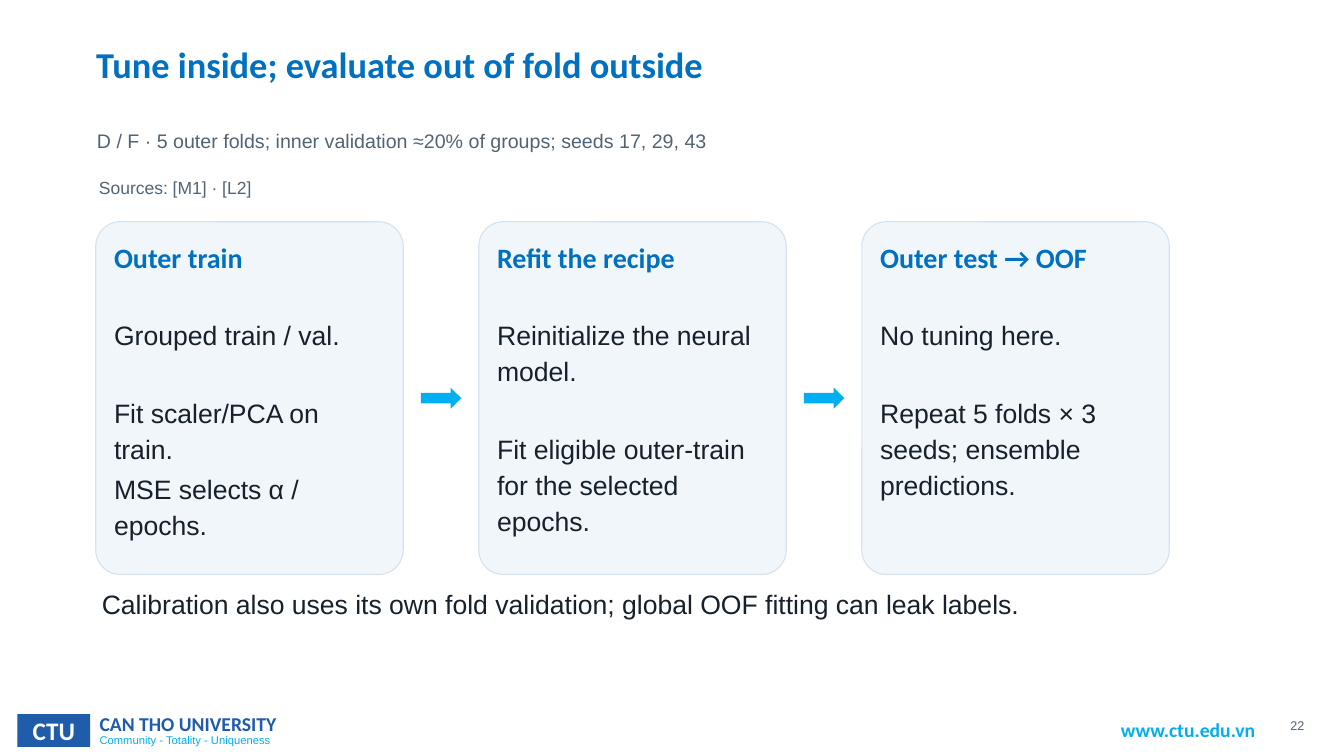
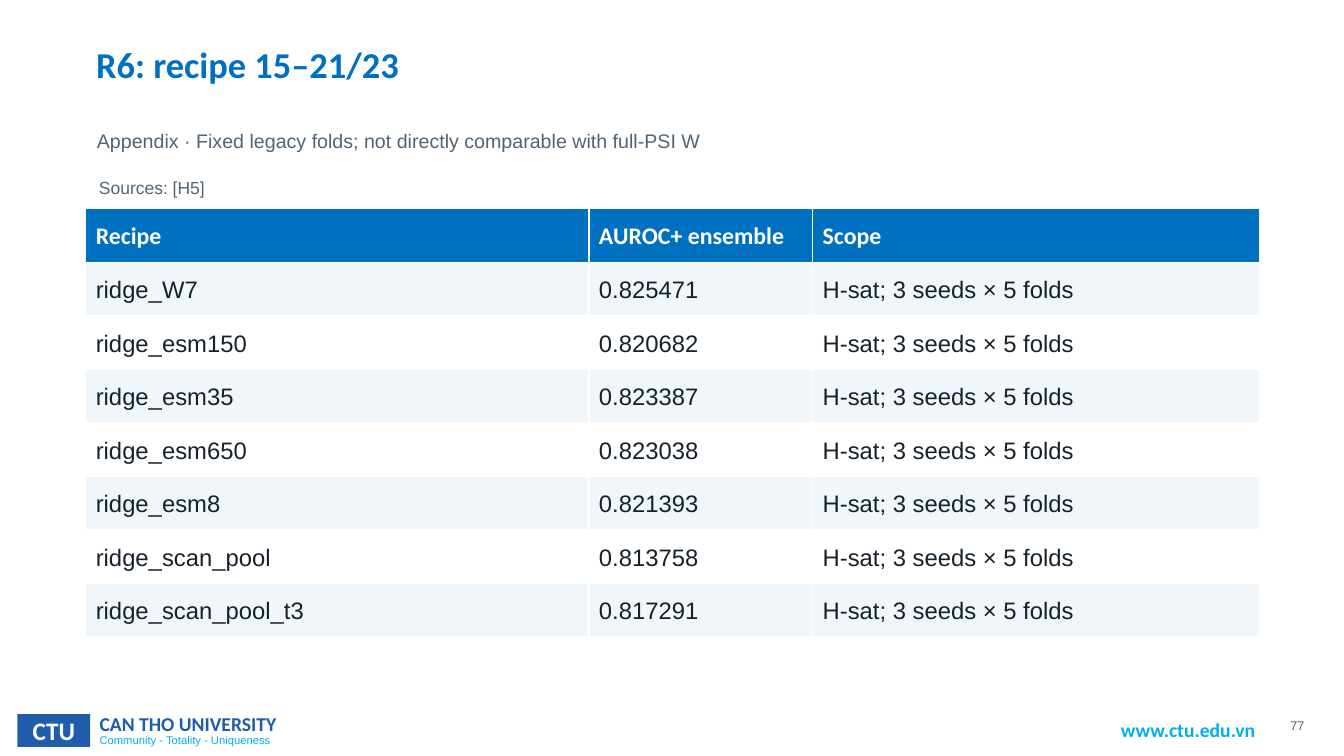
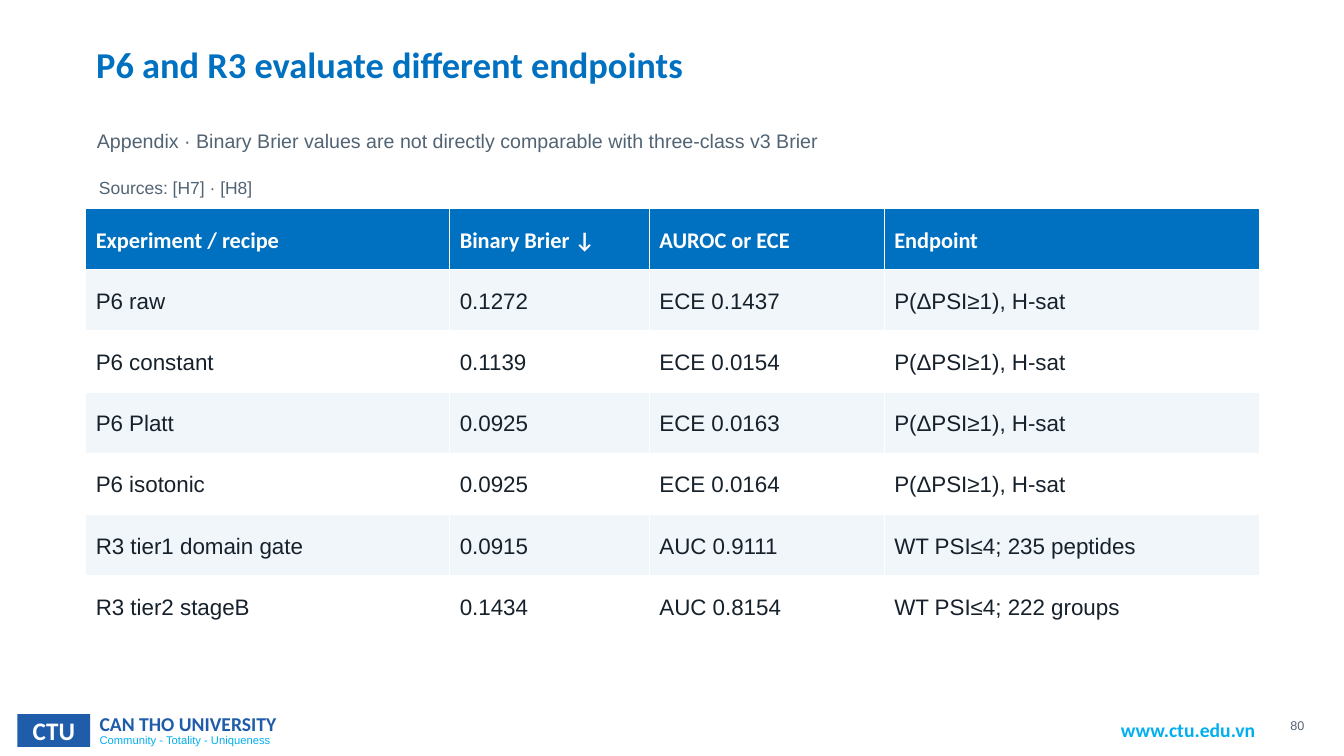
from dataclasses import dataclass

from pptx import Presentation
from pptx.dml.color import RGBColor
from pptx.enum.shapes import MSO_SHAPE
from pptx.enum.text import MSO_ANCHOR, MSO_AUTO_SIZE, PP_ALIGN
from pptx.util import Pt

RECTANGLE = MSO_SHAPE.RECTANGLE
ROUNDED = MSO_SHAPE.ROUNDED_RECTANGLE
RIGHT_ARROW = MSO_SHAPE.RIGHT_ARROW
MIDDLE = MSO_ANCHOR.MIDDLE
GROW = MSO_AUTO_SIZE.SHAPE_TO_FIT_TEXT
LEFT, CENTER, RIGHT = PP_ALIGN.LEFT, PP_ALIGN.CENTER, PP_ALIGN.RIGHT


@dataclass(frozen=True)
class Style:
    size: float
    color: str
    font: str = "Arial"
    bold: bool = False


@dataclass(frozen=True)
class Theme:
    blue: str = "0070C0"
    sky: str = "00AFEF"
    navy: str = "1F5CAA"
    ink: str = "17212B"
    gray: str = "526474"
    pale: str = "F0F6FA"
    outline: str = "D6E3EC"
    white: str = "FFFFFF"
    heading_font: str = "Calibri"
    title_size: float = 26
    card_title_size: float = 20
    body_size: float = 19
    badge_size: float = 18
    subtitle_size: float = 14
    source_size: float = 12.5
    page_size: float = 9
    motto_size: float = 8

    def heading(self, size, color):
        return Style(size, color, self.heading_font, True)


THEME = Theme()
TITLE = THEME.heading(THEME.title_size, THEME.blue)
CARD_TITLE = THEME.heading(THEME.card_title_size, THEME.blue)
BADGE = THEME.heading(THEME.badge_size, THEME.white)
UNIVERSITY = THEME.heading(THEME.subtitle_size, THEME.navy)
WEBSITE = THEME.heading(THEME.subtitle_size, THEME.sky)
SUBTITLE = Style(THEME.subtitle_size, THEME.gray)
SOURCE = Style(THEME.source_size, THEME.gray)
PAGE = Style(THEME.page_size, THEME.gray)
MOTTO = Style(THEME.motto_size, THEME.sky)
BODY = Style(THEME.body_size, THEME.ink)

WORKFLOW = {
    "title": "Tune inside; evaluate out of fold outside",
    "subtitle": "D / F · 5 outer folds; inner validation ≈20% of groups; seeds 17, 29, 43",
    "sources": "Sources: [M1] · [L2]",
    "page": 22,
    "cards": [
        ("Outer train", ["Grouped train / val.", "Fit scaler/PCA on train.", "MSE selects α / epochs."]),
        ("Refit the recipe", ["Reinitialize the neural model.",
                              "Fit eligible outer-train for the selected epochs."]),
        ("Outer test → OOF", ["No tuning here.",
                              "Repeat 5 folds × 3 seeds; ensemble predictions."]),
    ],
    "note": "Calibration also uses its own fold validation; global OOF fitting can leak labels.",
}

RIDGE_SCOPE = "H-sat; 3 seeds × 5 folds"
RIDGE_SCORES = [
    ("ridge_W7", "0.825471"),
    ("ridge_esm150", "0.820682"),
    ("ridge_esm35", "0.823387"),
    ("ridge_esm650", "0.823038"),
    ("ridge_esm8", "0.821393"),
    ("ridge_scan_pool", "0.813758"),
    ("ridge_scan_pool_t3", "0.817291"),
]
RECIPES = {
    "title": "R6: recipe 15–21/23",
    "subtitle": "Appendix · Fixed legacy folds; not directly comparable with full-PSI W",
    "sources": "Sources: [H5]",
    "page": 77,
    "size": 17,
    "weights": (9, 4, 8),
    "rows": [("Recipe", "AUROC+ ensemble", "Scope")]
    + [(recipe, score, RIDGE_SCOPE) for recipe, score in RIDGE_SCORES],
}

ENDPOINTS = {
    "title": "P6 and R3 evaluate different endpoints",
    "subtitle": "Appendix · Binary Brier values are not directly comparable with three-class v3 Brier",
    "sources": "Sources: [H7] · [H8]",
    "page": 80,
    "size": 16,
    "weights": (31, 17, 20, 32),
    "rows": [
        ("Experiment / recipe", "Binary Brier ↓", "AUROC or ECE", "Endpoint"),
        ("P6 raw", "0.1272", "ECE 0.1437", "P(ΔPSI≥1), H-sat"),
        ("P6 constant", "0.1139", "ECE 0.0154", "P(ΔPSI≥1), H-sat"),
        ("P6 Platt", "0.0925", "ECE 0.0163", "P(ΔPSI≥1), H-sat"),
        ("P6 isotonic", "0.0925", "ECE 0.0164", "P(ΔPSI≥1), H-sat"),
        ("R3 tier1 domain gate", "0.0915", "AUC 0.9111", "WT PSI≤4; 235 peptides"),
        ("R3 tier2 stageB", "0.1434", "AUC 0.8154", "WT PSI≤4; 222 groups"),
    ],
}


def points(*lengths):
    return [Pt(length) for length in lengths]


def format_paragraph(paragraph, style, align=LEFT):
    paragraph.alignment = align
    for run in paragraph.runs:
        font = run.font
        font.size = Pt(style.size)
        font.name = style.font
        font.bold = style.bold
        font.color.rgb = RGBColor.from_string(style.color)


def add_label(slide, text, box, style, align=LEFT, wrap=True):
    frame = slide.shapes.add_textbox(*points(*box)).text_frame
    frame.word_wrap = wrap
    frame.auto_size = GROW
    frame.text = text
    for paragraph in frame.paragraphs:
        format_paragraph(paragraph, style, align)
    return frame


def add_text(slide, text, box, style, align=LEFT):
    frame = add_label(slide, text, box, style, align)
    frame.margin_left = frame.margin_right = Pt(0.72)
    frame.margin_top = frame.margin_bottom = Pt(0.72)
    for paragraph in frame.paragraphs:
        paragraph.line_spacing = 1.13
        paragraph.space_after = Pt(3)
    return frame


def add_block(slide, kind, box, fill, outline=None):
    shape = slide.shapes.add_shape(kind, *points(*box))
    shape.shadow.inherit = False
    shape.fill.solid()
    shape.fill.fore_color.rgb = RGBColor.from_string(fill)
    if outline:
        shape.line.color.rgb = RGBColor.from_string(outline)
        shape.line.width = Pt(0.8)
    else:
        shape.line.fill.background()
    return shape


def add_footer(slide, page):
    add_label(slide, "www.ctu.edu.vn", (793.5, 509, 118, 24.5), WEBSITE, wrap=False)
    badge = add_block(slide, RECTANGLE, (12.5, 510, 52, 23.5), THEME.navy)
    badge.text_frame.text = "CTU"
    badge.text_frame.vertical_anchor = MIDDLE
    format_paragraph(badge.text_frame.paragraphs[0], BADGE, CENTER)
    add_label(slide, "Community - Totality - Uniqueness", (64, 520, 151, 17), MOTTO)
    add_label(slide, "CAN THO UNIVERSITY", (64, 505, 217, 24.5), UNIVERSITY)
    add_text(slide, str(page), (911, 511, 21.5, 14.5), PAGE, RIGHT)


def add_base_slide(presentation, content):
    slide = presentation.slides.add_slide(presentation.slide_layouts[6])
    add_footer(slide, content["page"])
    add_text(slide, content["title"], (68, 25, 839, 59), TITLE)
    add_text(slide, content["subtitle"], (68.5, 89.5, 831.5, 34.5), SUBTITLE)
    add_text(slide, content["sources"], (70, 124, 826, 19.5), SOURCE)
    return slide


def build_workflow(presentation, content):
    slide = add_base_slide(presentation, content)
    left, top, width, height, gap, padding = 68.4, 158.4, 219.6, 252, 54, 12.4
    arrow_width, arrow_height = 28.8, 15
    for index, (heading, lines) in enumerate(content["cards"]):
        x = left + index * (width + gap)
        if index:
            add_block(slide, RIGHT_ARROW,
                      (x - (gap + arrow_width) / 2, top + (height - arrow_height) / 2,
                       arrow_width, arrow_height), THEME.sky)
        card = add_block(slide, ROUNDED, (x, top, width, height), THEME.pale, THEME.outline)
        card.adjustments[0] = 0.08
        text_width = width - 2 * padding
        add_text(slide, heading, (x + padding, 168, text_width, 47.5), CARD_TITLE)
        body = add_text(slide, "\n".join(lines), (x + padding, 224, text_width, 178.5), BODY)
        body.paragraphs[1].space_before = Pt(27)
    add_text(slide, content["note"], (72, 416, 806.5, 44.5), BODY)


def build_table(presentation, content):
    slide = add_base_slide(presentation, content)
    rows, weights = content["rows"], content["weights"]
    width, height = 838.8, 306
    table = slide.shapes.add_table(len(rows), len(weights),
                                   *points(61.2, 149, width, height)).table
    for column, weight in zip(table.columns, weights):
        column.width = Pt(width * weight / sum(weights))
    header = THEME.heading(content["size"], THEME.white)
    value = Style(content["size"], THEME.ink)
    for row_index, row in enumerate(rows):
        table.rows[row_index].height = Pt(height / len(rows))
        band = THEME.pale if row_index % 2 else THEME.white
        for column_index, text in enumerate(row):
            cell = table.cell(row_index, column_index)
            cell.text = text
            cell.vertical_anchor = MIDDLE
            cell.fill.solid()
            cell.fill.fore_color.rgb = RGBColor.from_string(band if row_index else THEME.blue)
            paragraph = cell.text_frame.paragraphs[0]
            paragraph.line_spacing = 1.1
            format_paragraph(paragraph, value if row_index else header)


def main():
    presentation = Presentation()
    presentation.slide_width, presentation.slide_height = points(960, 540)
    build_workflow(presentation, WORKFLOW)
    for content in (RECIPES, ENDPOINTS):
        build_table(presentation, content)
    presentation.save("out.pptx")


if __name__ == "__main__":
    main()
